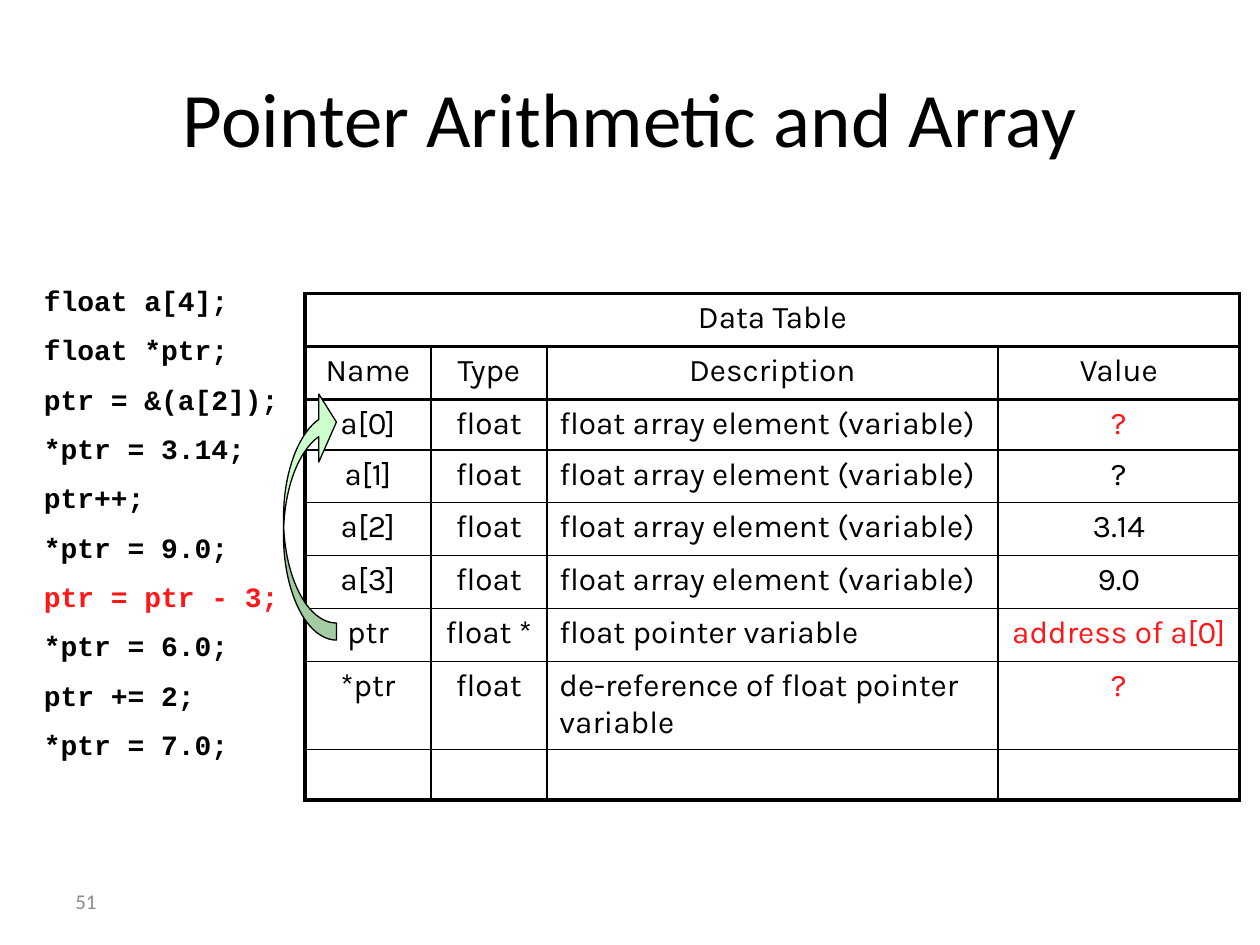
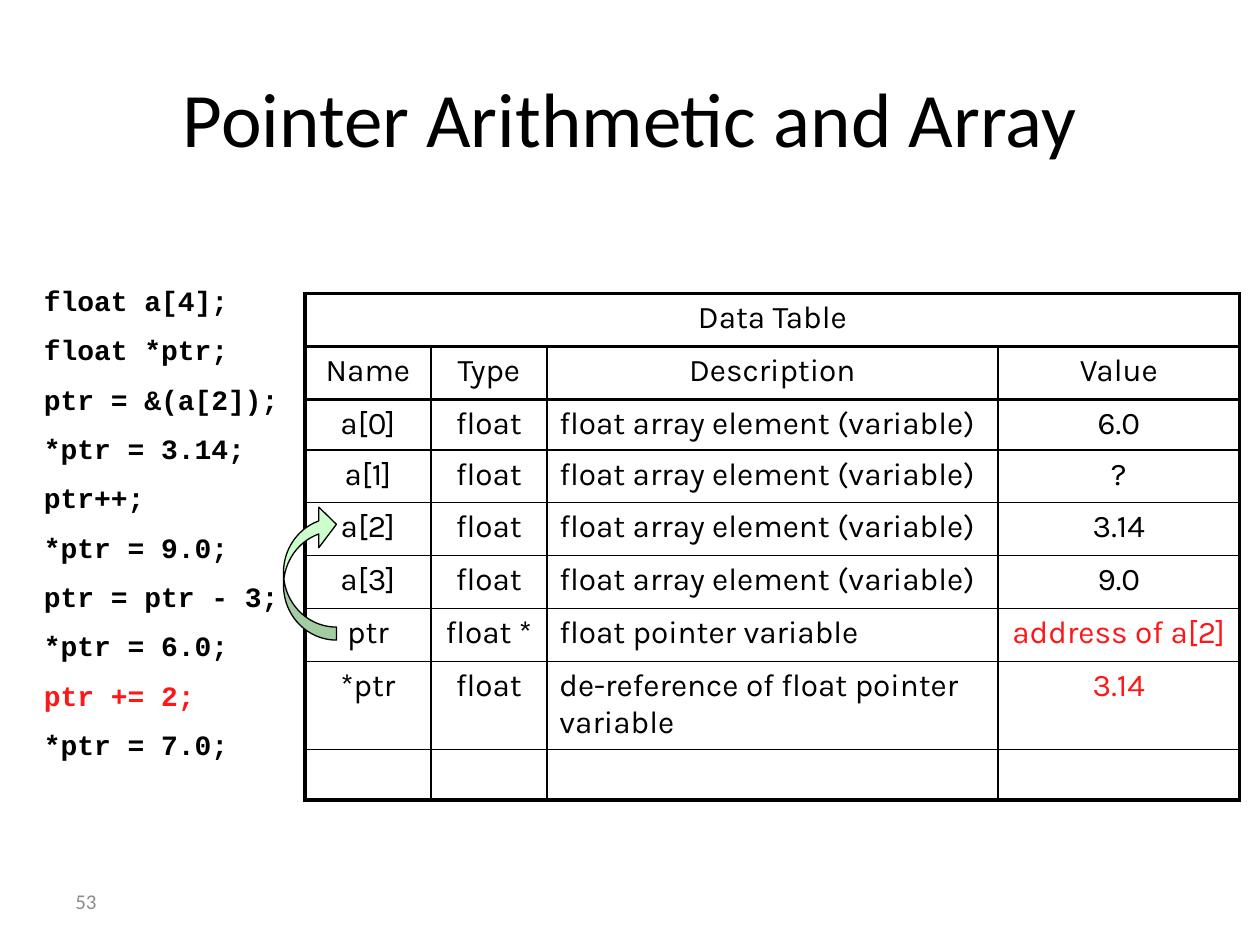
"""Builds two slides that trace pointer arithmetic on a float array."""
from lxml import etree
from pptx import Presentation
from pptx import util as u
from pptx.dml.color import RGBColor
from pptx.enum import shapes, text
from pptx.oxml import ns

TITLE = "Pointer Arithmetic and Array"
BLACK, RED, GREY, GREEN = "000000", "FF1717", "8C8C8C", "CCFFCC"
THIN, THICK = 1, 2.25

STATEMENTS = [
    "float a[4];",
    "float *ptr;",
    "ptr = &(a[2]);",
    "*ptr = 3.14;",
    "ptr++;",
    "*ptr = 9.0;",
    "ptr = ptr - 3;",
    "*ptr = 6.0;",
    "ptr += 2;",
    "*ptr = 7.0;",
]
CAPTION = "Data Table"
HEADINGS = ("Name", "Type", "Description", "Value")
ELEMENT = "float array element (variable)"
VARIABLES = [
    ("a[0]", "float", ELEMENT),
    ("a[1]", "float", ELEMENT),
    ("a[2]", "float", ELEMENT),
    ("a[3]", "float", ELEMENT),
    ("ptr", "float *", "float pointer variable"),
    ("*ptr", "float", "de-reference of float pointer variable"),
]
STEPS = [
    {
        "number": "51",
        "current": "ptr = ptr - 3;",
        "values": ("?", "?", "3.14", "9.0", "address of a[0]", "?"),
        "changed": ("a[0]", "ptr", "*ptr"),
        "arrow_top": 3.08,
        "arrow_form": (0.323, 1.283, 0.333),
    },
    {
        "number": "53",
        "current": "ptr += 2;",
        "values": ("6.0", "?", "3.14", "9.0", "address of a[2]", "3.14"),
        "changed": ("ptr", "*ptr"),
        "arrow_top": 4,
        "arrow_form": (0.246, 0.766, 0.333),
    },
]
WIDTHS = (1, 0.92, 3.58, 1.92)
HEIGHTS = (0.42, 0.42, 0.4, 0.42, 0.42, 0.42, 0.42, 0.7, 0.4)
ARROW_BOTTOM = 5.08


def box(*lengths):
    return [u.Inches(length) for length in lengths]


def rgb(value):
    return RGBColor.from_string(value)


def style(paragraph, face, size, colour=BLACK, bold=False, align=text.PP_ALIGN.LEFT):
    paragraph.alignment = align
    for run in paragraph.runs:
        run.font.name, run.font.size, run.font.bold = face, u.Pt(size), bold
        run.font.color.rgb = rgb(colour)


def add_number(slide, number):
    frame = slide.shapes.add_textbox(*box(0.5, 6.95, 2.33, 0.4)).text_frame
    frame.vertical_anchor = text.MSO_ANCHOR.MIDDLE
    frame.text = number
    style(frame.paragraphs[0], "Calibri", 12, GREY)


def add_title(slide):
    title = slide.shapes.title
    title.left, title.top, title.width, title.height = box(0.5, 0.3, 9, 1.25)
    title.text_frame.text = TITLE
    title.text_frame.vertical_anchor = text.MSO_ANCHOR.MIDDLE
    style(title.text_frame.paragraphs[0], "Calibri", 44, align=text.PP_ALIGN.CENTER)


def add_code(slide, current):
    frame = slide.shapes.add_textbox(*box(0.25, 2.2, 9.33, 3.95)).text_frame
    frame.word_wrap = True
    frame.text = "\n".join(STATEMENTS)
    for index, line in enumerate(frame.paragraphs):
        line.space_before = u.Pt(9 if index else 0)
        style(line, "Courier New", 16, RED if line.text == current else BLACK, True)


def draw_borders(cell, row, column):
    last_row, last_column = len(HEIGHTS) - 1, len(WIDTHS) - 1
    thick = {
        "lnL": row == 0 or column == 0,
        "lnR": row == 0 or column == last_column,
        "lnT": row <= 2,
        "lnB": row <= 1 or row == last_row,
    }
    properties = cell._tc.get_or_add_tcPr()
    for side, is_thick in thick.items():
        width = u.Pt(THICK if is_thick else THIN)
        border = etree.SubElement(properties, ns.qn("a:" + side), w=str(width))
        fill = etree.SubElement(border, ns.qn("a:solidFill"))
        etree.SubElement(fill, ns.qn("a:srgbClr"), val=BLACK)
    cell.fill.background()


def add_data_table(slide, step):
    rows = [(CAPTION, "", "", ""), HEADINGS]
    rows += [(*variable, value) for variable, value in zip(VARIABLES, step["values"])]
    rows.append(("", "", "", ""))
    frame = slide.shapes.add_table(
        len(rows), len(WIDTHS), *box(2.42, 2.33, sum(WIDTHS), sum(HEIGHTS)))
    data = frame.table
    data.first_row = data.horz_banding = False
    for column, width in zip(data.columns, WIDTHS):
        column.width = u.Inches(width)
    for row, height in zip(data.rows, HEIGHTS):
        row.height = u.Inches(height)
    data.cell(0, 0).merge(data.cell(0, len(WIDTHS) - 1))
    for r, entries in enumerate(rows):
        for c, entry in enumerate(entries):
            cell = data.cell(r, c)
            draw_borders(cell, r, c)
            if not entry:
                continue
            cell.text_frame.text = entry
            is_description = HEADINGS[c] == "Description" and r > 1
            is_changed = HEADINGS[c] == "Value" and entries[0] in step["changed"]
            style(cell.text_frame.paragraphs[0], "Karla", 18,
                  RED if is_changed else BLACK,
                  align=text.PP_ALIGN.LEFT if is_description else text.PP_ALIGN.CENTER)


def add_pointer_arrow(slide, top, form):
    arrow = slide.shapes.add_shape(
        shapes.MSO_SHAPE.CURVED_LEFT_ARROW, *box(2.25, top, 0.42, ARROW_BOTTOM - top))
    arrow.rotation = 180
    for index, amount in enumerate(form):
        arrow.adjustments[index] = amount
    arrow.shadow.inherit = False
    arrow.fill.solid()
    arrow.fill.fore_color.rgb = rgb(GREEN)
    arrow.line.color.rgb = rgb(BLACK)
    arrow.line.width = u.Pt(0.75)


def main():
    deck = Presentation()
    deck.slide_width, deck.slide_height = box(10, 7.5)
    for step in STEPS:
        slide = deck.slides.add_slide(deck.slide_layouts.get_by_name("Title Only"))
        add_title(slide)
        add_number(slide, step["number"])
        add_code(slide, step["current"])
        add_data_table(slide, step)
        add_pointer_arrow(slide, step["arrow_top"], step["arrow_form"])
    deck.save("out.pptx")


if __name__ == "__main__":
    main()
